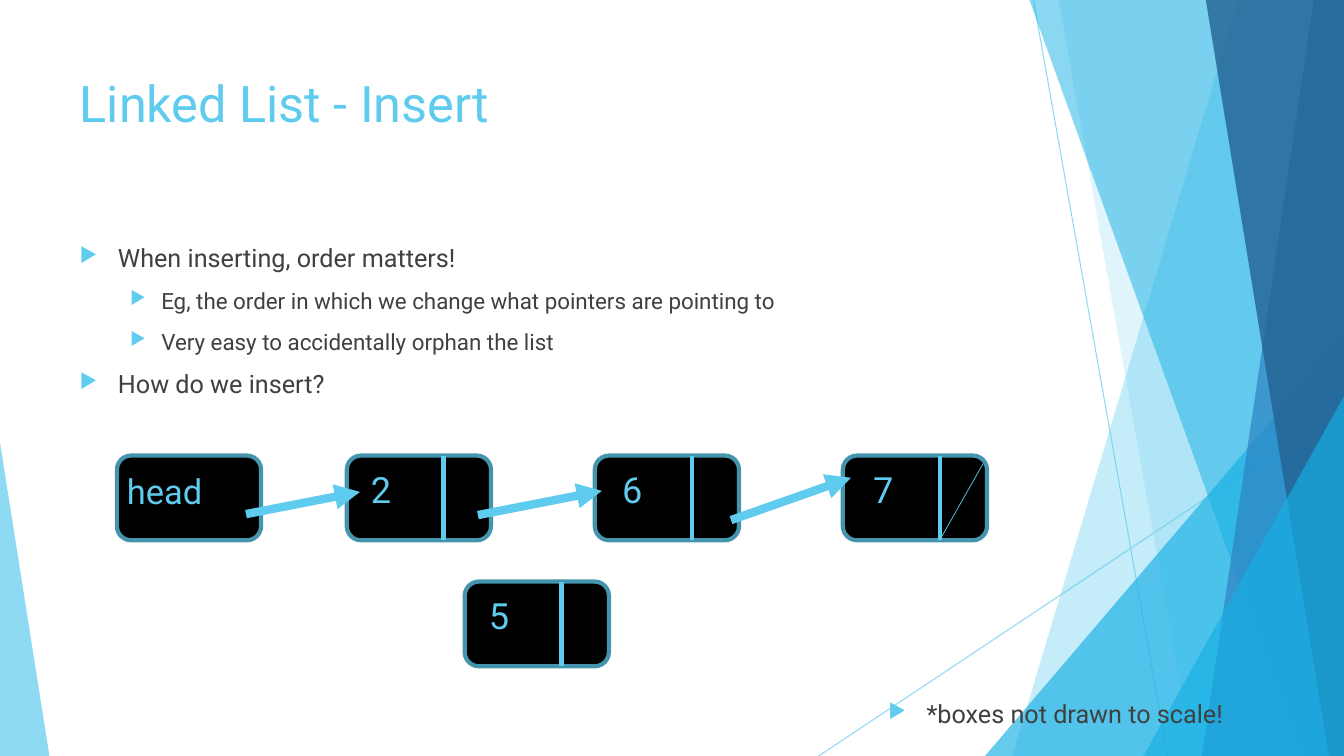
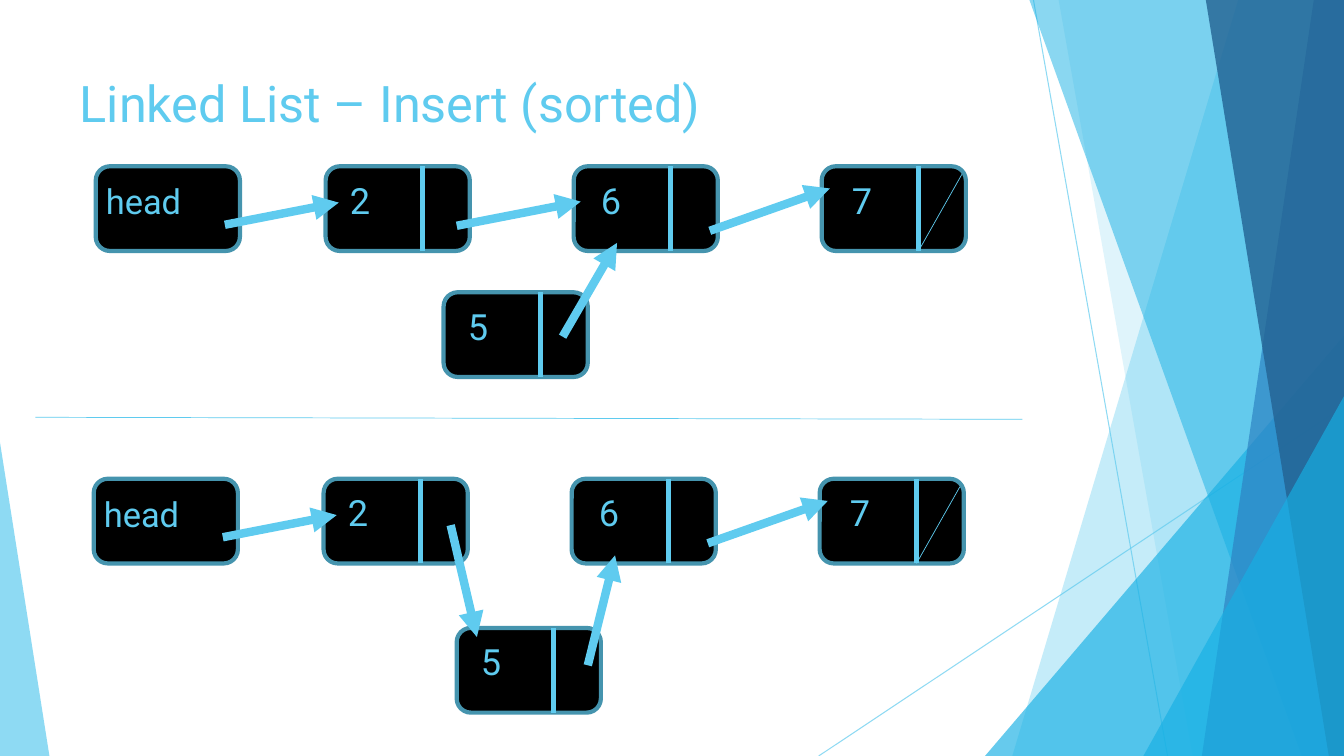
"""Build two slides on inserting a node into a linked list."""
import pptx
import pptx.dml.color
import pptx.enum.shapes
import pptx.enum.text
import pptx.oxml
import pptx.oxml.ns
import pptx.util
from lxml import etree

Inches = pptx.util.Inches
Pt = pptx.util.Pt
RGBColor = pptx.dml.color.RGBColor
qn = pptx.oxml.ns.qn

SKY = RGBColor(0x5F, 0xCB, 0xEF)
CYAN = RGBColor(0x17, 0xB0, 0xE4)
BLUE = RGBColor(0x2E, 0x83, 0xC3)
NAVY = RGBColor(0x23, 0x62, 0x92)
TEAL = RGBColor(0x45, 0x94, 0xAE)
BLACK = RGBColor(0x00, 0x00, 0x00)
GREY = RGBColor(0x40, 0x40, 0x40)
FONT = "Roboto"
WIDTH, HEIGHT = 13.33, 7.5
NODE_WIDTH, NODE_HEIGHT, POINTER_X = 1.43, 0.84, 0.96
BULLET_LEVELS = [(18, 0.38, 0.38), (16, 0.81, 0.31)]


def write_text(slide, box, paragraphs, size=18, color=SKY, inset=0, line_spacing=None, bullets=False):
    """Write (text, level) paragraphs in a box given as left, top, width, height."""
    frame = slide.shapes.add_textbox(*map(Inches, box)).text_frame
    frame.word_wrap = True
    frame.vertical_anchor = pptx.enum.text.MSO_ANCHOR.TOP
    frame.margin_left = frame.margin_right = Inches(inset)
    frame.margin_top = frame.margin_bottom = Inches(inset)
    for index, (text, level) in enumerate(paragraphs):
        paragraph = frame.add_paragraph() if index else frame.paragraphs[0]
        run = paragraph.add_run()
        run.text = text
        run.font.name = FONT
        run.font.color.rgb = color
        run.font.size = Pt(size)
        if line_spacing:
            paragraph.line_spacing = line_spacing
        if bullets:
            level_size, margin, hanging = BULLET_LEVELS[level]
            run.font.size = Pt(level_size)
            paragraph.level = level
            paragraph.space_before = Pt(10)
            properties = paragraph.element.get_or_add_pPr() if hasattr(paragraph, "element") else paragraph._p.get_or_add_pPr()
            properties.set("marL", str(Inches(margin)))
            properties.set("indent", str(-Inches(hanging)))
            bullet_color = etree.SubElement(properties, qn("a:buClr"))
            etree.SubElement(bullet_color, qn("a:srgbClr"), val=str(SKY))
            etree.SubElement(properties, qn("a:buSzPct"), val="80000")
            etree.SubElement(properties, qn("a:buChar"), char="▶")


def draw_line(slide, start, end, weight, arrow=False):
    """Draw a straight line between two points given in inches."""
    line = slide.shapes.add_connector(
        pptx.enum.shapes.MSO_CONNECTOR.STRAIGHT, *map(Inches, (*start, *end)))
    line.line.color.rgb = SKY
    line.line.width = Pt(weight)
    if arrow:
        etree.SubElement(line.element.spPr.find(qn("a:ln")), qn("a:tailEnd"), type="triangle")
    etree.SubElement(line.element.spPr, qn("a:effectLst"))
    return line


deck = pptx.Presentation()
deck.slide_width, deck.slide_height = Inches(WIDTH), Inches(HEIGHT)
blank = deck.slide_layouts[6]
for placeholder in list(blank.placeholders):
    placeholder.element.getparent().remove(placeholder.element)
insert_slide = deck.slides.add_slide(blank)
sorted_slide = deck.slides.add_slide(blank)

right_corners = [(WIDTH, 0), (WIDTH, HEIGHT)]
bands = [
    ([(12.28, 0), *right_corners, (10.04, HEIGHT)], SKY, 36),
    ([(10.5, 0), *right_corners, (11.83, HEIGHT)], SKY, 20),
    ([(9.77, HEIGHT), (WIDTH, 3.33), (WIDTH, HEIGHT)], CYAN, 66),
    ([(10.21, 0), *right_corners, (12.91, HEIGHT)], CYAN, 50),
    ([(13.03, 0), *right_corners, (11.92, HEIGHT)], BLUE, 70),
    ([(11.96, 0), *right_corners, (13.18, HEIGHT)], NAVY, 80),
    ([(11.34, HEIGHT), (WIDTH, 3.93), (WIDTH, HEIGHT)], CYAN, 66),
    ([(0, HEIGHT), (0, 4.39), (0.49, HEIGHT)], SKY, 70),
]
backdrop = [
    (draw_line(insert_slide, (10.25, 0), (11.58, HEIGHT), 0.75), 70),
    (draw_line(insert_slide, (WIDTH, 4.03), (8.12, HEIGHT), 0.75), 70),
]
for corners, color, opacity in bands:
    points = [(Inches(x), Inches(y)) for x, y in corners]
    outline = insert_slide.shapes.build_freeform(*points[0])
    outline.add_line_segments(points[1:], close=True)
    band = outline.convert_to_shape()
    band.shadow.inherit = False
    band.fill.solid()
    band.fill.fore_color.rgb = color
    band.line.fill.background()
    backdrop.append((band, opacity))
for part, opacity in backdrop:
    for tint in part.element.iter(qn("a:srgbClr")):
        etree.SubElement(tint, qn("a:alpha"), val=str(opacity * 1000))
    blank.shapes.element.append(part.element)

for slide, title in [(insert_slide, "Linked List - Insert"),
                     (sorted_slide, "Linked List – Insert (sorted)")]:
    write_text(slide, (0.74, 0.67, 9.4, 0.75), [(title, 0)], size=36, inset=0.05)

write_text(insert_slide, (0.74, 2.36, 9.4, 1.8), [
    ("When inserting, order matters!", 0),
    ("Eg, the order in which we change what pointers are pointing to", 1),
    ("Very easy to accidentally orphan the list", 1),
    ("How do we insert?", 0),
], color=GREY, inset=0.05, bullets=True)

list_nodes = [("head", 0, 0.1), ("2", 2.28, 0.24), ("6", 4.74, 0.27), ("7", 7.2, 0.3)]
head_to_2 = ((1.28, 0.58), (2.41, 0.36))
two_to_6 = ((3.58, 0.59), (4.81, 0.35))
six_to_7 = ((6.09, 0.64), (7.28, 0.22))
two_to_5 = ((3.54, 0.46), (3.8, 1.57))
diagrams = [
    (insert_slide, 1.16, 4.52, (3.45, 1.25), [two_to_6, head_to_2, six_to_7]),
    (sorted_slide, 0.95, 1.65, (3.45, 1.25),
     [two_to_6, head_to_2, six_to_7, ((4.63, 1.69), (5.17, 0.76))]),
    (sorted_slide, 0.93, 4.75, (3.6, 1.48),
     [head_to_2, six_to_7, ((4.9, 1.85), (5.17, 0.76)), two_to_5]),
]
for slide, left, top, (new_x, new_y), arrows in diagrams:
    nodes = [(label, x, 0, indent) for label, x, indent in list_nodes]
    for label, x, y, indent in nodes + [("5", new_x, new_y, 0.24)]:
        node_x, node_y = left + x, top + y
        node = slide.shapes.add_shape(
            pptx.enum.shapes.MSO_SHAPE.ROUNDED_RECTANGLE,
            *map(Inches, (node_x, node_y, NODE_WIDTH, NODE_HEIGHT)))
        node.shadow.inherit = False
        node.fill.solid()
        node.fill.fore_color.rgb = BLACK
        node.line.color.rgb = TEAL
        node.line.width = Pt(3)
        is_head = label == "head"
        pointer_foot = (node_x + POINTER_X, node_y + NODE_HEIGHT)
        if not is_head:
            draw_line(slide, pointer_foot, (node_x + POINTER_X, node_y), 3)
        write_text(slide, (node_x + indent, node_y + (0.22 if is_head else 0.2), 1.2 if is_head else 0.7, 0.5),
                   [(label, 0)], size=24.6 if is_head else 25.8, line_spacing=0.8)
        if label == "7":
            draw_line(slide, pointer_foot, (node_x + 1.39, node_y + 0.08), 0.5)
    for (start_x, start_y), (end_x, end_y) in arrows:
        draw_line(slide, (left + start_x, top + start_y), (left + end_x, top + end_y), 6, arrow=True)

write_text(insert_slide, (8.81, 6.93, 4.18, 0.5), [("*boxes not drawn to scale!", 0)], color=GREY, bullets=True)
draw_line(sorted_slide, (0.35, 4.14), (10.14, 4.16), 0.5)

deck.save("out.pptx")
